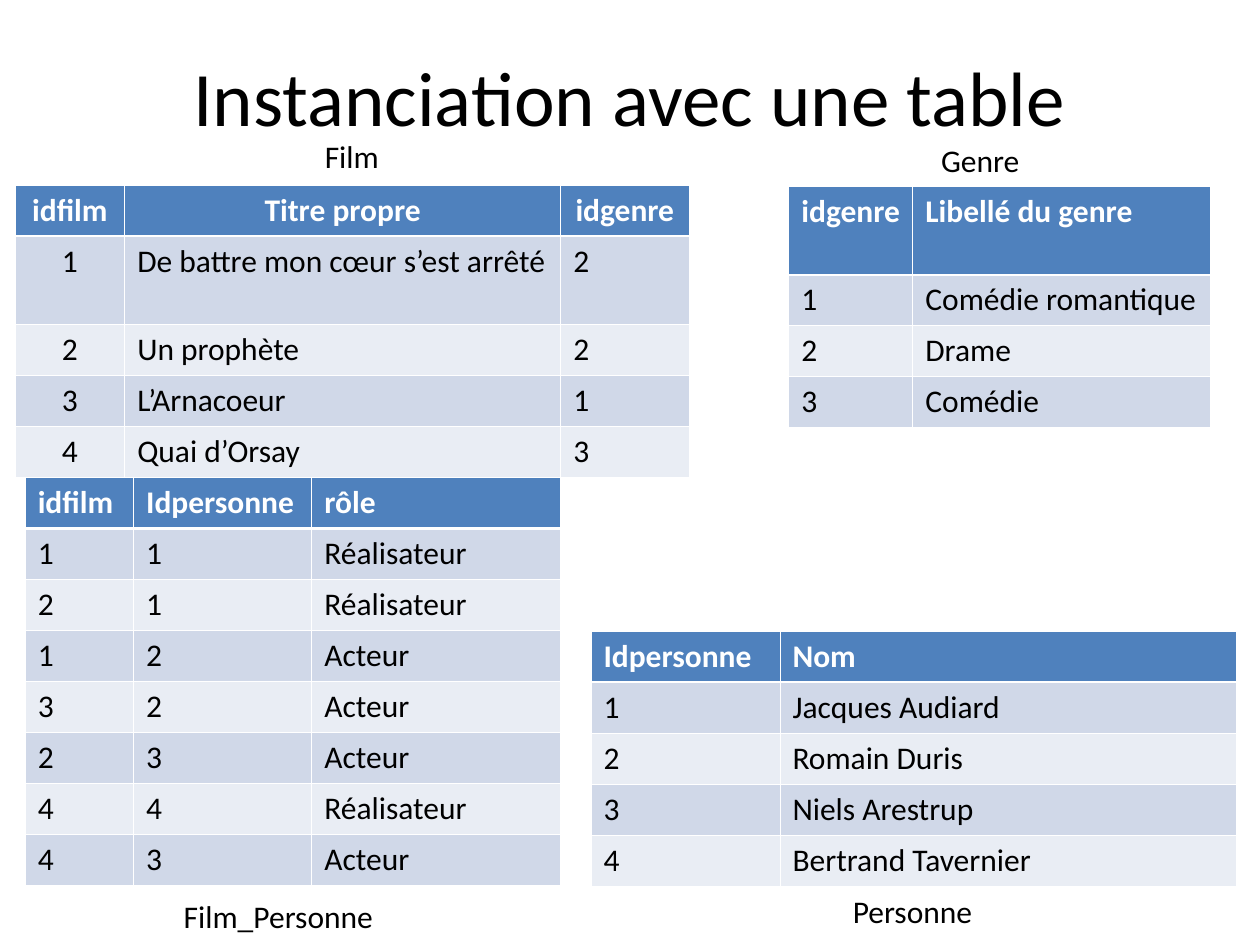
from lxml import etree
from pptx import Presentation
from pptx import util as u
from pptx.dml.color import RGBColor
from pptx.enum import text
from pptx.oxml.ns import qn

LEFT, CENTER = text.PP_ALIGN.LEFT, text.PP_ALIGN.CENTER


def rgb(hex_colour):
    return RGBColor.from_string(hex_colour)


def border(cell, side, colour, width):
    """Draw one side (L, R, T or B) of a cell; call before the cell's fill is set."""
    ln = etree.SubElement(cell._tc.get_or_add_tcPr(), qn("a:ln" + side), w=str(u.Pt(width)))
    fill = etree.SubElement(ln, qn("a:solidFill"))
    etree.SubElement(fill, qn("a:srgbClr"), val=colour)


class Deck:
    """Style and current slide; lengths are in cells of a 100 x 75 grid."""
    font, size, title_size = "Calibri", 18, 44
    ink, white, header = "000000", "FFFFFF", "4F81BD"
    bands = ("D0D8E8", "E9EDF4")
    thin, thick = 0.45, 1.47
    row = 4.05

    def __init__(self):
        self.prs = Presentation()
        self.prs.slide_width, self.prs.slide_height = u.Inches(10), u.Inches(7.5)
        self.unit = self.prs.slide_width / 100
        self.s = self.prs.slides.add_slide(self.prs.slide_layouts[6])

    def grid(self, *lengths):
        return [round(n * self.unit) for n in lengths]

    def add_text(self, tf, words, size, colour, align=LEFT, bold=False):
        p = tf.paragraphs[0]
        p.alignment = align
        r = p.add_run()
        r.text = words
        r.font.name, r.font.size, r.font.bold = self.font, u.Pt(size), bold
        r.font.color.rgb = rgb(colour)

    def title(self, words, x, y, w, h):
        tf = self.s.shapes.add_textbox(*self.grid(x, y, w, h)).text_frame
        tf.word_wrap = True
        tf.margin_top, = self.grid(0.9)
        self.add_text(tf, words, self.title_size, self.ink, CENTER)

    def caption(self, words, x, y, w):
        tf = self.s.shapes.add_textbox(*self.grid(x, y, w, 4)).text_frame
        tf.word_wrap = False
        tf.auto_size = text.MSO_AUTO_SIZE.SHAPE_TO_FIT_TEXT
        self.add_text(tf, words, self.size, self.ink)

    def table(self, x, y, cols, rows, tall=None, centred=()):
        """tall is the index of a deeper row; centred holds (row, column) pairs."""
        heights = [7 if i == tall else self.row for i in range(len(rows))]
        frame = self.s.shapes.add_table(len(rows), len(cols),
                                        *self.grid(x, y, sum(cols), sum(heights)))
        tbl = frame.table
        for column, width in zip(tbl.columns, self.grid(*cols)):
            column.width = width
        for line, height in zip(tbl.rows, self.grid(*heights)):
            line.height = height
        for i, values in enumerate(rows):
            for j, value in enumerate(values):
                self.fill_cell(tbl.cell(i, j), value, i, CENTER if (i, j) in centred else LEFT)

    def fill_cell(self, cell, value, i, align):
        head = i == 0
        for side in "LRTB":
            under_header = (i, side) in ((0, "B"), (1, "T"))
            border(cell, side, self.white, self.thick if under_header else self.thin)
        cell.fill.solid()
        cell.fill.fore_color.rgb = rgb(self.header if head else self.bands[(i - 1) % 2])
        self.add_text(cell.text_frame, value, self.size,
                      self.white if head else self.ink, align, head)


def main():
    d = Deck()
    d.title("Instanciation avec une table", 5, 3, 90, 12.5)

    films = [("idfilm", "Titre propre", "idgenre"),
             ("1", "De battre mon cœur s’est arrêté", "2"),
             ("2", "Un prophète", "2"),
             ("3", "L’Arnacoeur", "1"),
             ("4", "Quai d’Orsay", "3")]
    d.table(1.2, 14.7, (8.7, 34.6, 10.2), films, tall=1,
            centred=[(0, 1), (0, 2)] + [(i, 0) for i in range(len(films))])

    d.table(62.6, 14.8, (9.85, 23.6),
            [("idgenre", "Libellé du genre"),
             ("1", "Comédie romantique"),
             ("2", "Drame"),
             ("3", "Comédie")], tall=0, centred=[(0, 0)])

    d.table(46.9, 50.1, (15, 36.2),
            [("Idpersonne", "Nom"),
             ("1", "Jacques Audiard"),
             ("2", "Romain Duris"),
             ("3", "Niels Arestrup"),
             ("4", "Bertrand Tavernier")])

    d.caption("Film", 24.8, 10.4, 6.3)
    d.caption("Genre", 73.7, 10.7, 8.2)
    d.caption("Personne", 66.7, 70.3, 11.6)

    d.table(2, 37.9, (8.6, 14.15, 19.7),
            [("idfilm", "Idpersonne", "rôle"),
             ("1", "1", "Réalisateur"),
             ("2", "1", "Réalisateur"),
             ("1", "2", "Acteur"),
             ("3", "2", "Acteur"),
             ("2", "3", "Acteur"),
             ("4", "4", "Réalisateur"),
             ("4", "3", "Acteur")])
    d.caption("Film_Personne", 13.6, 70.7, 17.1)

    d.prs.save("out.pptx")


if __name__ == "__main__":
    main()
